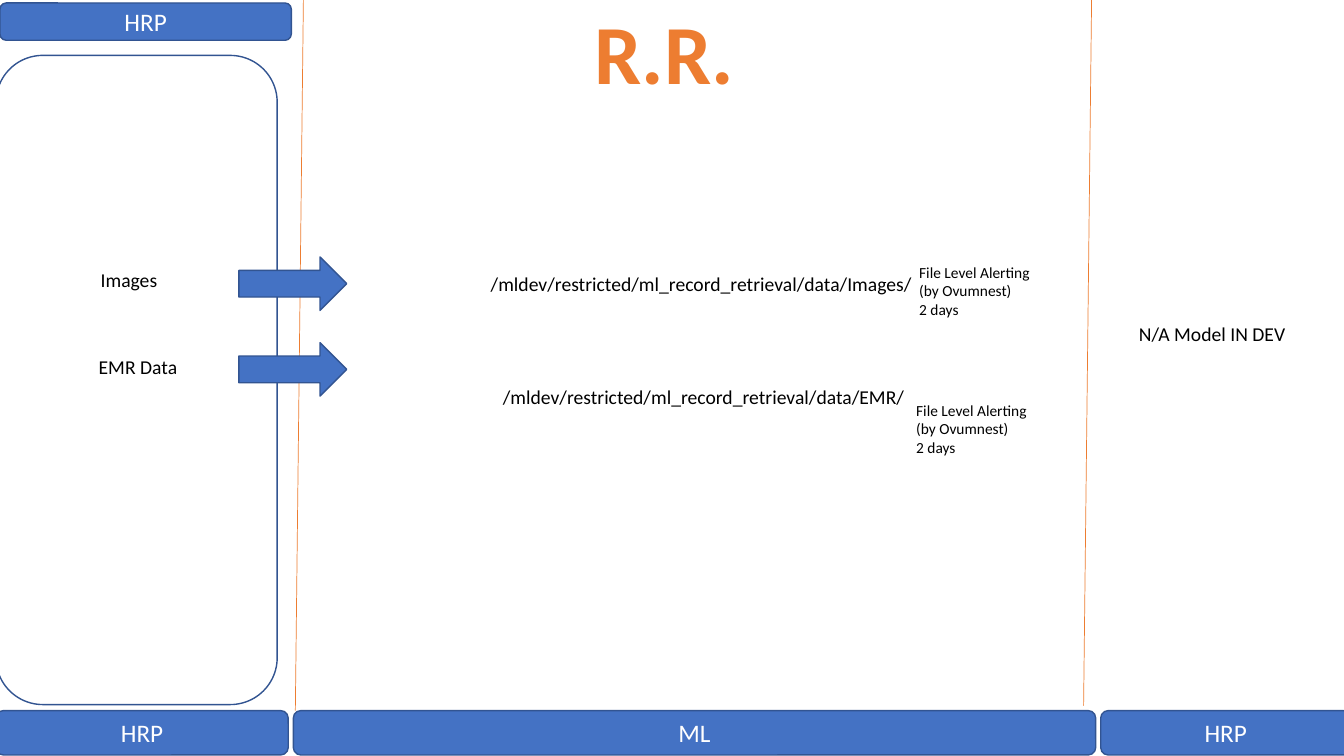
from lxml import etree
from pptx import Presentation
from pptx.dml.color import RGBColor
from pptx.enum.shapes import MSO_CONNECTOR, MSO_SHAPE
from pptx.enum.text import MSO_ANCHOR, MSO_AUTO_SIZE, PP_ALIGN
from pptx.oxml.ns import qn
from pptx.util import Inches, Pt

ROUNDED, ARROW = MSO_SHAPE.ROUNDED_RECTANGLE, MSO_SHAPE.RIGHT_ARROW
STRAIGHT = MSO_CONNECTOR.STRAIGHT
TOP, MIDDLE, BOTTOM = MSO_ANCHOR.TOP, MSO_ANCHOR.MIDDLE, MSO_ANCHOR.BOTTOM
LEFT, CENTER = PP_ALIGN.LEFT, PP_ALIGN.CENTER
GROW = MSO_AUTO_SIZE.SHAPE_TO_FIT_TEXT

COLS, ROWS = 40, 30
BLUE, OUTLINE, ORANGE = "4472C4", "325491", "ED7D31"
WHITE, BLACK = "FFFFFF", "000000"


def rgb(value):
    return RGBColor.from_string(value)


class Board:
    """Draws on one slide; all lengths are grid columns and rows."""
    font = "Calibri"

    def __init__(self, prs):
        self.col = prs.slide_width / COLS
        self.row = prs.slide_height / ROWS
        self.shapes = prs.slides.add_slide(prs.slide_layouts[6]).shapes

    def place(self, x, y, w, h):
        return (round(x * self.col), round(y * self.row),
                round(w * self.col), round(h * self.row))

    def set_text(self, sp, text, size, color, align, anchor, bold=False, spacing=None):
        tf = sp.text_frame
        tf.word_wrap = True
        tf.vertical_anchor = anchor
        tf.text = text
        for p in tf.paragraphs:
            p.alignment = align
            p.line_spacing = spacing
            for r in p.runs:
                r.font.name, r.font.size = self.font, Pt(size)
                r.font.bold, r.font.color.rgb = bold, rgb(color)

    def title(self, text, *box):
        sp = self.shapes.add_textbox(*self.place(*box))
        self.set_text(sp, text, 60, ORANGE, CENTER, BOTTOM, True, 0.9)

    def label(self, text, x, y, w, h=1.36, size=14):
        sp = self.shapes.add_textbox(*self.place(x, y, w, h))
        self.set_text(sp, text, size, BLACK, LEFT, TOP)
        sp.text_frame.auto_size = GROW

    def shape(self, kind, *box, fill=BLUE):
        sp = self.shapes.add_shape(kind, *self.place(*box))
        sp.shadow.inherit = False
        if fill:
            sp.fill.solid()
            sp.fill.fore_color.rgb = rgb(fill)
        else:
            sp.fill.background()
        sp.line.color.rgb = rgb(OUTLINE)
        sp.line.width = Pt(1)
        return sp

    def bar(self, text, *box):
        self.set_text(self.shape(ROUNDED, *box), text, 18, WHITE, CENTER, MIDDLE)

    def divider(self, x1, y1, x2, y2):
        cxn = self.shapes.add_connector(STRAIGHT, *self.place(x1, y1, x2, y2))
        cxn.line.color.rgb = rgb(ORANGE)
        cxn.line.width = Pt(0.5)
        etree.SubElement(cxn.element.spPr, qn("a:effectLst"))


def main():
    prs = Presentation()
    prs.slide_width, prs.slide_height = Inches(13.33), Inches(7.5)
    board = Board(prs)

    board.title("R.R.", 4.77, 0.2, 30, 4.08)

    # Stage bars along the bottom, source panel and its heading
    for text, x, w in (("HRP", -0.12, 8.7), ("ML", 8.73, 23.88), ("HRP", 32.76, 7.44)):
        board.bar(text, x, 28.2, w, 1.76)
    board.shape(ROUNDED, -0.12, 2.2, 8.37, 25.76, fill=None)
    board.bar("HRP", 0, 0.12, 8.67, 1.48)

    # Slanted dividers between stages
    board.divider(9.03, 0, 8.79, 28.2)
    board.divider(32.49, -0.24, 32.25, 28)

    # Sources and their arrows
    for text, x, y, arrow_y in (("Images", 2.7, 10.44, 10.2),
                                ("EMR Data", 2.64, 13.88, 13.6)):
        board.label(text, x, y, 3.3)
        board.shape(ARROW, 7.11, arrow_y, 3.21, 2.12)

    # Storage folders with their alerts
    root = "/mldev/restricted/ml_record_retrieval/data/"
    board.label(root + "EMR/", 14.67, 15.08, 12.93)
    board.label(root + "Images/", 14.31, 10.6, 13.26)
    for x, y in ((27.06, 10.24), (26.97, 15.72)):
        board.label("File Level Alerting\n(by Ovumnest)\n2 days", x, y, 6.9, 2.64, 11)

    # Model status
    board.label("N/A Model IN DEV", 33.6, 12.56, 5.76)

    prs.save("out.pptx")


if __name__ == "__main__":
    main()
